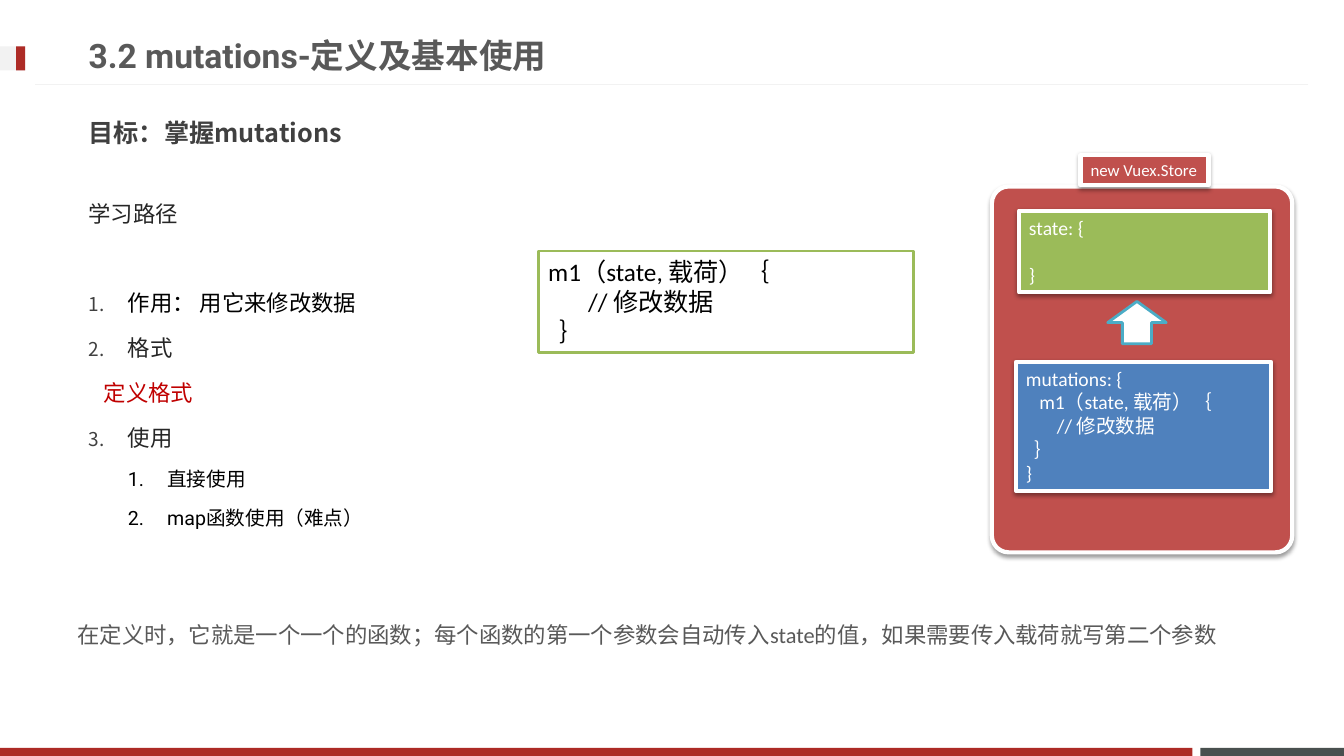
import pptx
import pptx.dml.color
import pptx.enum.shapes
import pptx.enum.text
import pptx.oxml
import pptx.oxml.ns
import pptx.util
import lxml.etree

prs = pptx.Presentation()
prs.slide_width = pptx.util.Inches(13.33)
prs.slide_height = pptx.util.Inches(7.5)
s = prs.slides.add_slide(prs.slide_layouts[6])

# The grid has 100 columns and 100 rows
COL = prs.slide_width / 100
ROW = prs.slide_height / 100
SPACE = 0.226  # width of one code indent step, in ems
SHAPE = pptx.enum.shapes.MSO_SHAPE
MIDDLE = pptx.enum.text.MSO_ANCHOR.MIDDLE
qn = pptx.oxml.ns.qn
COLORS = {
    "white": "FFFFFF", "black": "000000", "pale": "F2F2F2", "slate": "49504F",
    "brand": "AD2B26", "title": "595959", "goal": "404040", "body": "262626",
    "accent": "C00000", "store": "C0504D", "state": "9BBB59",
    "mutations": "4F81BD", "arrow": "4BACC6",
}
RGB = {name: pptx.dml.color.RGBColor.from_string(c) for name, c in COLORS.items()}


def add_box(kind, cell, fill=None, line=None, width=0, shadow=False):
    """Add a shape, or a text box if kind is None, at (column, row, columns, rows)."""
    x, y, w, h = cell
    at = [int(v) for v in (x * COL, y * ROW, w * COL, h * ROW)]
    if kind is None:
        return s.shapes.add_textbox(*at)
    sp = s.shapes.add_shape(kind, *at)
    sp.shadow.inherit = False
    sp.fill.solid()
    sp.fill.fore_color.rgb = RGB[fill]
    if line:
        sp.line.color.rgb = RGB[line]
        sp.line.width = pptx.util.Pt(width)
    else:
        sp.line.fill.background()
    if shadow:
        effects = sp._element.spPr.find(qn("a:effectLst"))
        outer = lxml.etree.SubElement(effects, qn("a:outerShdw"), blurRad="40000",
                                      dist="20000", dir="5400000", rotWithShape="0")
        clr = lxml.etree.SubElement(outer, qn("a:srgbClr"), val=COLORS["black"])
        lxml.etree.SubElement(clr, qn("a:alpha"), val="38000")
    return sp


def write(sp, lines, size, font, color, bold=False, anchor=None, wrap=True):
    """Write (indent steps, text) lines into a shape and return its paragraphs."""
    tf = sp.text_frame
    tf.word_wrap = wrap
    tf.vertical_anchor = anchor or pptx.enum.text.MSO_ANCHOR.TOP
    tf.text = "\n".join(text for _, text in lines)
    for p, (steps, _) in zip(tf.paragraphs, lines):
        p.alignment = pptx.enum.text.PP_ALIGN.LEFT
        if steps:
            indent = pptx.util.Pt(steps * SPACE * size)
            p._p.get_or_add_pPr().set("marL", str(indent))
        for r in p.runs:
            r.font.size = pptx.util.Pt(size)
            r.font.name = font
            r.font.bold = bold
            r.font.color.rgb = RGB[color]
            ea = lxml.etree.SubElement(r._r.get_or_add_rPr(), qn("a:ea"))
            ea.set("typeface", font)
    return tf.paragraphs


# Footer bars, header tab and header rule
for cell, fill in [
    ((89.32, 98.93, 10.68, 1.07), "slate"),
    ((0, 98.93, 88.72, 1.07), "brand"),
    ((0, 6.13, 1.88, 3.2), "pale"),
    ((1.2, 6.13, 0.68, 3.2), "brand"),
]:
    add_box(SHAPE.RECTANGLE, cell, fill)
rule = s.shapes.add_connector(
    pptx.enum.shapes.MSO_CONNECTOR.STRAIGHT,
    int(97.35 * COL), int(11.2 * ROW), int(2.62 * COL), int(11.2 * ROW))
rule.line.color.rgb = RGB["pale"]
rule.line.width = pptx.util.Pt(0.75)
lxml.etree.SubElement(rule._element.spPr, qn("a:effectLst"))

# Title, goal and closing remark
write(add_box(None, (5.85, 3.47, 71.9, 7.6)), [(0, "3.2 mutations-定义及基本使用")],
      24, "Roboto", "title", bold=True, anchor=MIDDLE)
write(add_box(None, (5.85, 13.73, 87.9, 7.6)), [(0, "目标：掌握mutations")],
      18, "Noto Sans CJK JP", "goal", bold=True, anchor=MIDDLE)
write(add_box(None, (5.02, 81.47, 87.3, 4.93)),
      [(0, "在定义时，它就是一个一个的函数；每个函数的第一个参数会自动传入state的值，"
           "如果需要传入载荷就写第二个参数")],
      16, "Calibri", "title", wrap=False)

# Learning path: text, colour, list level (None is unnumbered), first number
steps = [
    ("学习路径", "body", None, 1),
    ("作用： 用它来修改数据", "black", 0, 1),
    ("格式", "body", 0, 1),
    ("定义格式", "accent", None, 1),
    ("使用", "body", 0, 3),
    ("直接使用", "black", 1, 1),
    ("map函数使用（难点）", "black", 1, 1),
]
learning = write(add_box(None, (5.85, 24, 30.3, 50)),
                 [(3 if color == "accent" else 0, text) for text, color, _, _ in steps],
                 16, "Noto Sans CJK JP", "body")
hang = pptx.util.Inches(0.39)
for p, (_, color, level, start) in zip(learning, steps):
    size = 14 if level == 1 else 16
    p.line_spacing = pptx.util.Pt(1.8 * size)
    p.space_before = pptx.util.Pt(0.2 * size)
    font = p.runs[0].font
    font.size = pptx.util.Pt(size)
    font.color.rgb = RGB[color]
    if level is None:
        continue
    p.level = level
    pPr = p._p.get_or_add_pPr()
    pPr.set("marL", str(hang * (level + 1)))
    pPr.set("indent", str(-hang))
    if level == 0:
        clr = lxml.etree.SubElement(pPr, qn("a:buClr"))
        lxml.etree.SubElement(clr, qn("a:srgbClr"), val=COLORS["goal"])
        lxml.etree.SubElement(pPr, qn("a:buSzPct"), val="85000")
    else:
        font.name = "Roboto"
        p.runs[0]._r.rPr.find(qn("a:ea")).set("typeface", "Roboto")
    number = lxml.etree.SubElement(pPr, qn("a:buAutoNum"), type="arabicPeriod")
    if start > 1:
        number.set("startAt", str(start))
learning[0].space_before = pptx.util.Pt(0)
learning[1].space_before = pptx.util.Pt(35.2)

# Store diagram
store = add_box(SHAPE.ROUNDED_RECTANGLE, (73.8, 24.67, 22.35, 48.4),
                "store", "white", 3, shadow=True)
store.adjustments[0] = 0.056
signature = "m1（state, 载荷）｛"
method_end = [(7, "// 修改数据"), (2, "｝")]
blocks = [
    ("state", (75.82, 27.87, 18.68, 10.8), 14, [(0, "state: {"), (0, "}")]),
    ("mutations", (75.6, 47.87, 18.98, 17.07), 14,
     [(0, "mutations: {"), (3, signature), *method_end, (0, "}")]),
    ("store", (80.4, 20.53, 9.52, 4), 12, [(0, "new Vuex.Store")]),
]
for fill, cell, size, lines in blocks:
    sp = add_box(SHAPE.RECTANGLE, cell, fill, "white", 3, shadow=True)
    paragraphs = write(sp, lines, size, "Calibri", "white", wrap=len(lines) > 1)
    if fill == "state":
        paragraphs[-1].space_before = pptx.util.Pt(17)
add_box(SHAPE.UP_ARROW, (82.42, 39.87, 4.35, 5.6), "white", "arrow", 2)

# Definition format
sp = add_box(SHAPE.RECTANGLE, (40.05, 33.2, 27.9, 13.47), "white", "state", 2)
write(sp, [(0, signature), *method_end], 18, "Calibri", "black")

prs.save("out.pptx")
